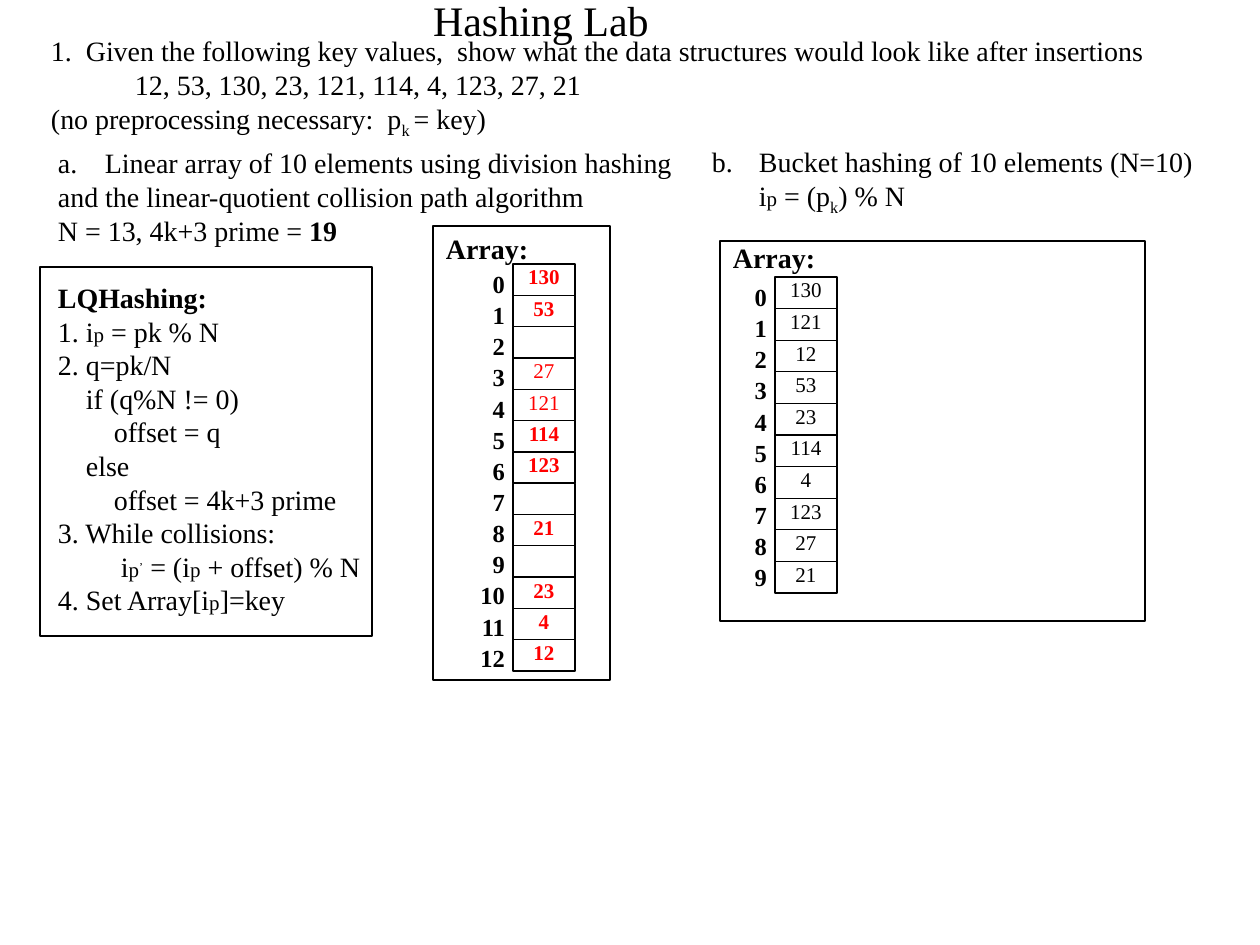
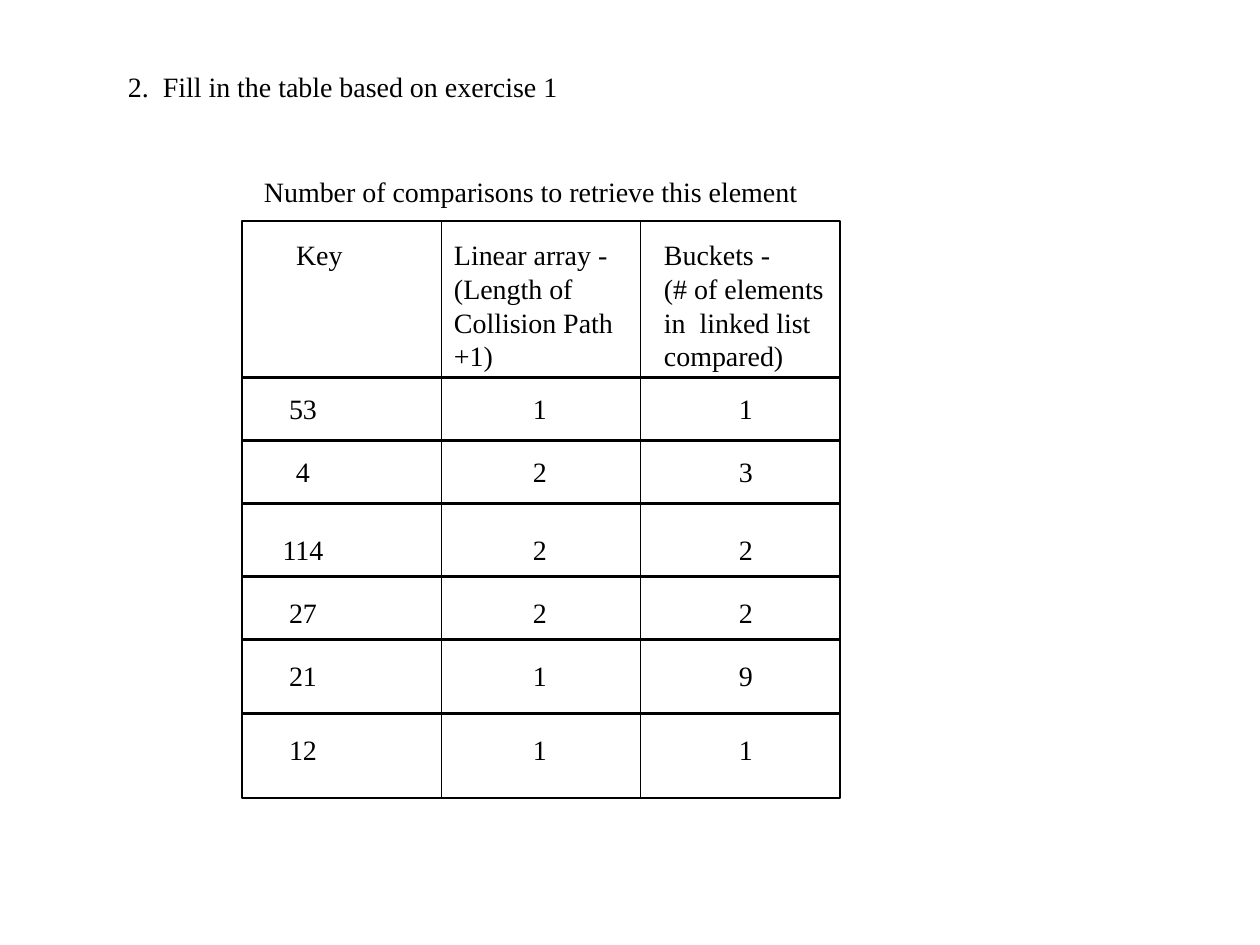
from lxml import etree
from pptx import Presentation
from pptx import util as u
from pptx.dml.color import RGBColor
from pptx.enum import shapes, text
from pptx.oxml.ns import qn

SCALE = 914400 / 126
FONT = "Times New Roman"
COLORS = {"ink": "000000", "paper": "FFFFFF", "answer": "FF0000"}
INSETS = (13, 6, 13, 6)
EDGE = u.Pt(0.75)
ALIGN = {"l": text.PP_ALIGN.LEFT, "c": text.PP_ALIGN.CENTER, "r": text.PP_ALIGN.RIGHT}

# Run formats
SMALL = {"size": 12}
SUB = {"base": -25000}
PRIME = {"size": 12, "base": 30000}
BOLD = {"bold": True}


def emu(px):
    return u.Emu(round(px * SCALE))


def color(name):
    return RGBColor.from_string(COLORS[name])


def line(*runs, **form):
    """A paragraph: runs are strings or (string, format) pairs."""
    return runs, form


def style(run, size=16, bold=False, ink="ink", base=0):
    run.font.name, run.font.size, run.font.bold = FONT, u.Pt(size), bold
    run.font.color.rgb = color(ink)
    if base:
        run._r.get_or_add_rPr().set("baseline", str(base))


def write(frame, lines, align="l", after=0, **look):
    """Fill a text frame; each line is a string or the result of line()."""
    for i, item in enumerate(lines):
        runs, form = line(item) if isinstance(item, str) else item
        para = frame.paragraphs[0] if i == 0 else frame.add_paragraph()
        para.alignment = ALIGN[align]
        para.space_after = u.Pt(after)
        para.space_before = emu(form.get("before", 0))
        props = para._p.get_or_add_pPr()
        props.set("marL", str(emu(form.get("indent", 0))))
        if "start" in form:
            props.set("indent", str(-emu(form["indent"])))
            etree.SubElement(props, qn("a:buFont"), typeface=FONT)
            etree.SubElement(props, qn("a:buAutoNum"), type="alphaLcPeriod",
                             startAt=str(form["start"]))
        if "stops" in form:
            tabs = etree.SubElement(props, qn("a:tabLst"))
            for stop in form["stops"]:
                etree.SubElement(tabs, qn("a:tab"), pos=str(emu(stop)), algn="ctr")
        for part in runs:
            words, extra = (part, {}) if isinstance(part, str) else part
            run = para.add_run()
            run.text = words
            style(run, **{**look, **extra})


def setup(frame, insets, wrap):
    frame.word_wrap = wrap
    frame.vertical_anchor = text.MSO_ANCHOR.TOP
    (frame.margin_left, frame.margin_top,
     frame.margin_right, frame.margin_bottom) = map(emu, insets)


def label(slide, box, lines, wrap=True, **look):
    shape = slide.shapes.add_textbox(*map(emu, box))
    setup(shape.text_frame, INSETS, wrap)
    write(shape.text_frame, lines, **look)


def frame(slide, box, lines=(), insets=INSETS, fill=True, **look):
    """An outlined rectangle, with text if there is any."""
    shape = slide.shapes.add_shape(shapes.MSO_SHAPE.RECTANGLE, *map(emu, box))
    shape.shadow.inherit = False
    if fill:
        shape.fill.solid()
        shape.fill.fore_color.rgb = color("paper")
    else:
        shape.fill.background()
    shape.line.color.rgb = color("ink")
    shape.line.width = EDGE
    setup(shape.text_frame, insets, True)
    write(shape.text_frame, lines, **look)


def rule(slide, *ends):
    """A straight line from x, y to x, y."""
    shape = slide.shapes.add_connector(shapes.MSO_CONNECTOR.STRAIGHT, *map(emu, ends))
    shape.line.color.rgb = color("ink")
    shape.line.width = EDGE
    etree.SubElement(shape._element.spPr, qn("a:effectLst"))


def array(slide, box, values, cells, insets=INSETS, light=(), **look):
    """Panel with numbered cells; cells is the column's box inside the panel."""
    left, top = box[:2]
    x, y, wide, tall = cells
    frame(slide, box, ["Array:"], insets=insets, bold=True)
    pitch = tall / len(values)
    for i, value in enumerate(values):
        bold = look.get("bold", False) and value not in light
        frame(slide, (left + x, top + y + pitch * i, wide, pitch),
              [value] if value else [], insets=(0, 0, 0, 0), align="c",
              **{**look, "size": 12, "bold": bold})
    label(slide, (left + x - 55, top + y - 1, 60, tall + 22),
          [str(i) for i in range(len(values))],
          align="r", after=1, size=14, bold=True)


def method(slide, box):
    """Linear array exercise, with its algorithm below."""
    left, top = box[:2]
    step = 28
    label(slide, box, [
        line("Linear array of 10 elements using division hashing", indent=47, start=1),
        "and the linear-quotient collision path algorithm",
        line("N = 13, 4k+3 prime = ", ("19", BOLD)),
        line(("LQHashing:", BOLD), before=34),
        line("1. i", ("p", SMALL), " = pk % N"),
        "2. q=pk/N",
        line("if (q%N != 0)", indent=step),
        line("offset = q", indent=2 * step),
        line("else", indent=step),
        line("offset = 4k+3 prime", indent=2 * step),
        "3. While collisions:",
        line("i", ("p", SMALL), ("’", PRIME), " = (i", ("p", SMALL),
             " + offset) % N", indent=63),
        line("4. Set Array[i", ("p", SMALL), "]=key"),
    ])
    frame(slide, (left - 5, top + 127, 332, 369), fill=False)


def grid(slide, box, heads, rows, edges):
    """Ruled comparison grid; edges are the row tops below the heading."""
    left, top, wide, tall = box
    frame(slide, box, fill=False)
    third = wide / 3
    for x in (left + third, left + 2 * third):
        rule(slide, x, top, x, top + tall)
    # Each row rule is doubled one px higher
    for y in edges:
        for lift in (0, 1):
            rule(slide, left, top + y - lift, left + wide, top + y - lift)
    # Headings: offset from the grid's left edge, width, lines
    for x, span, lines in heads:
        label(slide, (left + x, top + 11, span, 149), lines)
    # Row values, centred on shared stops
    for y, drop, values in rows:
        label(slide, (left + 18, top + y + drop, wide - 30, 47),
              [line("".join("\t" + value for value in values), stops=(30, 267, 473))])


def lab(slide):
    label(slide, (38, 28, 1150, 115), [
        "1.  Given the following key values,  show what the data structures "
        "would look like after insertions",
        line("12, 53, 130, 23, 121, 114, 4, 123, 27, 21", indent=84),
        line("(no preprocessing necessary:  p", ("k ", SUB), "= key)"),
    ])
    label(slide, (420, -11, 243, 64), ["Hashing Lab"], wrap=False, size=24)
    method(slide, (45, 140, 649, 556))
    array(slide, (433, 226, 177, 454),
          ["130", "53", "", "27", "121", "114", "123", "", "21", "", "23", "4", "12"],
          (80, 38, 62, 407), light=("27", "121"), ink="answer", bold=True)
    label(slide, (699, 139, 512, 183), [
        line("Bucket hashing of 10 elements (N=10) i", ("p", SMALL), " = (p",
             ("k", SUB), ") % N", indent=47, start=2)])
    array(slide, (720, 241, 425, 380),
          ["130", "121", "12", "53", "23", "114", "4", "123", "27", "21"],
          (55, 36, 62, 316), insets=(13, 0, 13, 0))


def tally(slide):
    label(slide, (115, 64, 460, 47), ["2.  Fill in the table based on exercise 1"])
    label(slide, (251, 169, 570, 47), ["Number of comparisons to retrieve this element"])
    heads = [(41, 80, ["Key"]),
             (199, 220, ["Linear array -", "(Length of", "Collision Path +1)"]),
             (409, 195, ["Buckets -", "(# of elements", "in  linked list", "compared)"])]
    edges = (157, 220, 283, 356, 419, 493)
    drops = (8, 8, 23, 13, 13, 13)
    values = [("53", "1", "1"), ("4", "2", "3"), ("114", "2", "2"),
              ("27", "2", "2"), ("21", "1", "9"), ("12", "1", "1")]
    grid(slide, (242, 221, 598, 577), heads, list(zip(edges, drops, values)), edges)


def main():
    deck = Presentation()
    deck.slide_width, deck.slide_height = emu(1260), emu(945)
    for build in (lab, tally):
        build(deck.slides.add_slide(deck.slide_layouts[6]))
    deck.save("out.pptx")


if __name__ == "__main__":
    main()
